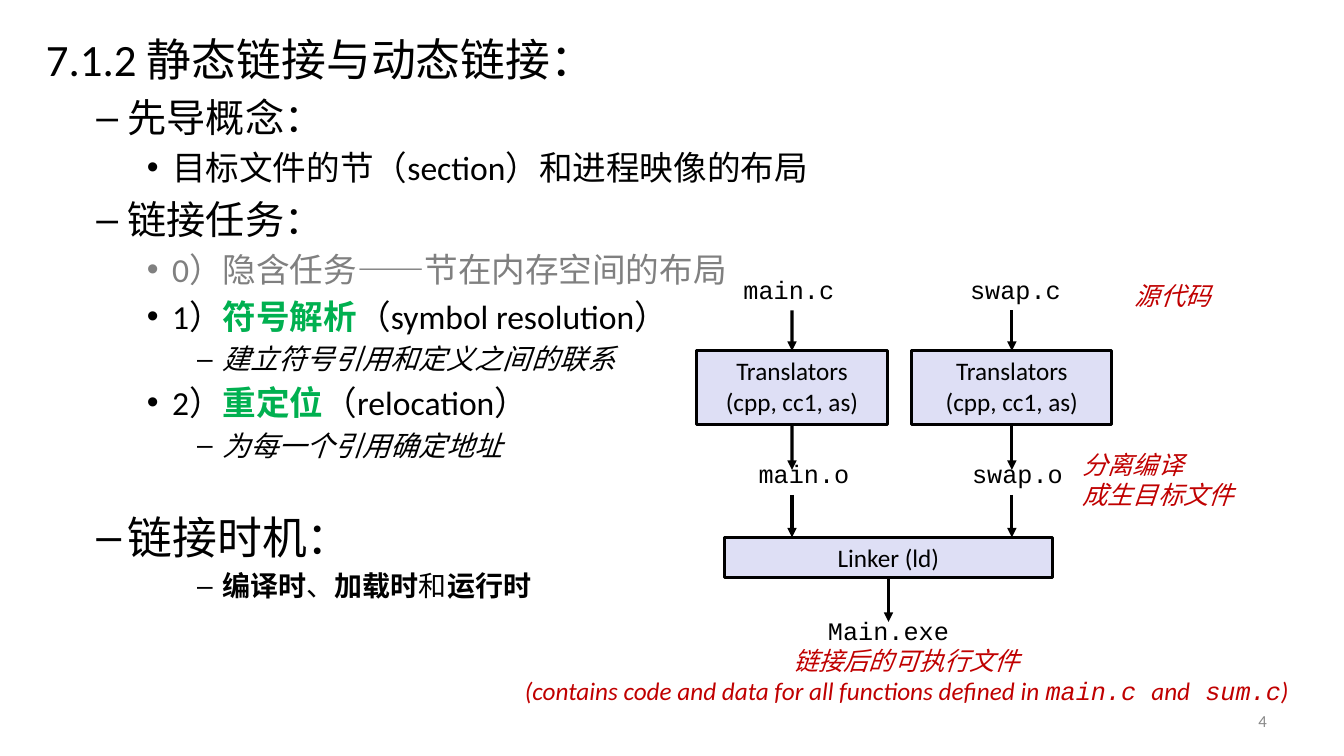
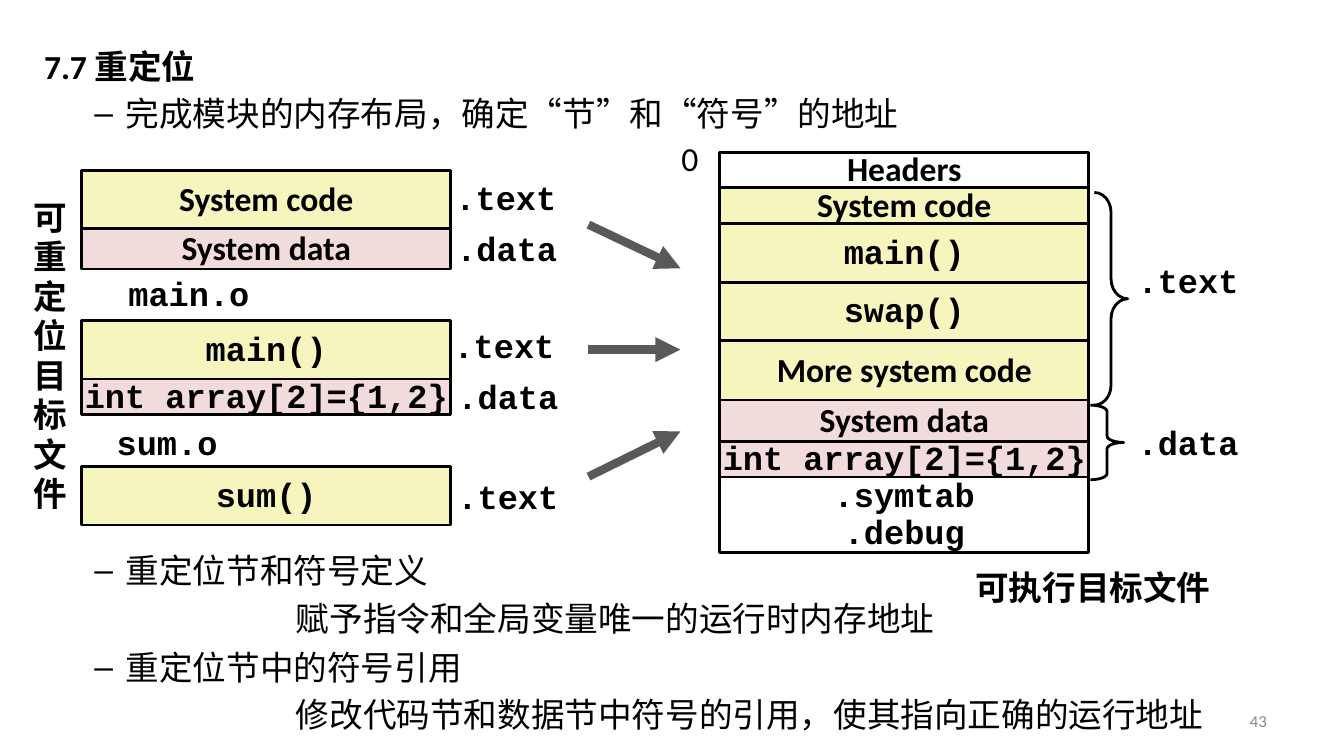
"""Builds two slides on static linking and relocation."""
from lxml.etree import SubElement
from pptx import Presentation
from pptx.dml.color import RGBColor
from pptx.enum.shapes import MSO_CONNECTOR, MSO_SHAPE
from pptx.enum.text import MSO_ANCHOR, PP_ALIGN
from pptx.oxml.ns import qn
from pptx.util import Cm, Pt

BLACK, RED, GREEN, GRAY = "000000", "C00000", "00B050", "808080"
LILAC, YELLOW, PINK, WHITE = "DEDFF5", "F6F5BD", "F2DCDB", "FFFFFF"
SANS, MONO, HAN = "Calibri", "Courier New", "Noto Sans CJK SC"
LEFT, CENTER, RIGHT = PP_ALIGN.LEFT, PP_ALIGN.CENTER, PP_ALIGN.RIGHT
LEVELS = {1: (2.06, -0.79, "–"), 2: (3.18, -0.64, "•"), 3: (4.45, -0.64, "–"), 4: (6.35, 0, None)}


def add_label(page, at, lines, size=18, font=SANS, color=BLACK, bold=False, italic=False, align=LEFT,
              spacing=1.0, wrap=True, anchor=MSO_ANCHOR.TOP, fill=None, line=2):
    """Add a text box, or a filled rectangle; a line is a string or (level, size, gap, spans)."""
    place = [Cm(length) for length in at]
    if fill:
        box = page.shapes.add_shape(MSO_SHAPE.RECTANGLE, *place)
        box.shadow.inherit = False
        box.fill.solid()
        box.fill.fore_color.rgb = RGBColor.from_string(fill)
        box.line.color.rgb = RGBColor.from_string(BLACK)
        box.line.width = Pt(line)
    else:
        box = page.shapes.add_textbox(*place)
    frame = box.text_frame
    frame.word_wrap = wrap
    frame.vertical_anchor = anchor
    for index, entry in enumerate(lines):
        if isinstance(entry, str):
            entry = (0, size, 0, [(entry, {})])
        level, line_size, gap, spans = entry
        para = frame.paragraphs[0] if index == 0 else frame.add_paragraph()
        if level:
            margin, indent, bullet = LEVELS[level]
            para.level = min(level, 3) if bullet else 1
            props = para._p.get_or_add_pPr()
            props.set("marL", str(Cm(margin)))
            props.set("indent", str(Cm(indent)))
            if bullet:
                SubElement(props, qn("a:buFont")).set("typeface", "Arial")
                SubElement(props, qn("a:buChar")).set("char", bullet)
        para.alignment = align
        para.line_spacing = spacing
        para.space_before = Pt(gap if index else 0)
        for text, changes in spans:
            span = para.add_run()
            span.text = text
            span.font.size = Pt(line_size)
            span.font.bold = changes.get("bold", bold)
            span.font.italic = changes.get("italic", italic)
            span.font.color.rgb = RGBColor.from_string(changes.get("color", color))
            span.font.name = changes.get("font", font)
            asian = SubElement(span._r.get_or_add_rPr(), qn("a:ea"))
            asian.set("typeface", changes.get("asian", SANS))
    return box


def add_arrow(page, start, end, color=BLACK, width=2.25):
    """Add a straight arrow between two points."""
    points = [Cm(length) for length in (*start, *end)]
    arrow = page.shapes.add_connector(MSO_CONNECTOR.STRAIGHT, *points)
    arrow.line.color.rgb = RGBColor.from_string(color)
    arrow.line.width = Pt(width)
    props = arrow.element.spPr
    SubElement(props.find(qn("a:ln")), qn("a:tailEnd")).set("type", "triangle")
    SubElement(props, qn("a:effectLst"))
    return arrow


deck = Presentation()
deck.slide_width, deck.slide_height = Cm(33.87), Cm(19.05)
pages = []
for number in ("4", "43"):
    page = deck.slides.add_slide(deck.slide_layouts[6])
    add_label(page, (24.28, 17.65, 7.9, 1.02), [number], size=12, color="898989",
              align=RIGHT, anchor=MSO_ANCHOR.MIDDLE)
    pages.append(page)
linking, relocation = pages

strong = {"bold": True}
term = {"bold": True, "color": GREEN}
slanted = {"italic": True}
add_label(linking, (0.91, 0.67, 30.48, 1.7), [
    (0, 32, 0, [("7.1.2 静态链接与动态链接：", {})]),
    (1, 28, 5.6, [("先导概念：", {})]),
    (2, 24, 4.8, [("目标文件的节（section）和进程映像的布局", {})]),
    (1, 28, 5.6, [("链接任务：", {})]),
    (2, 24, 4.8, [("0）隐含任务——节在内存空间的布局", {"color": GRAY, "asian": HAN})]),
    (2, 24, 4.8, [("1）", {}), ("符号解析", term), ("（symbol resolution）", {})]),
    (3, 20, 4, [("建立符号引用和定义之间的联系", slanted)]),
    (2, 24, 4.8, [("2）", {}), ("重定位", term), ("（relocation）", {})]),
    (3, 20, 4, [("为每一个引用确定地址", slanted)]),
    (1, 32, 34, [("链接时机：", {})]),
    (3, 20, 4, [("编译时", strong), ("、", {}), ("加载时", strong), ("和", {}), ("运行时", strong)]),
])

linker = add_label(linking, (18.26, 13.54, 8.26, 1.02), ["Linker (ld)"], align=CENTER, fill=LILAC, line=2.25)
for left, width in ((17.56, 4.8), (22.98, 5.04)):
    middle = left + width / 2
    translator = add_label(linking, (left, 8.84, width, 1.85), ["Translators", "(cpp, cc1, as)"],
                           align=CENTER, fill=LILAC, line=2.25)
    add_arrow(linking, (middle, 7.82), (middle, 8.84)).end_connect(translator, 0)
    add_arrow(linking, (middle, 10.69), (middle, 11.84)).begin_connect(translator, 2)
    add_arrow(linking, (middle, 12.47), (middle, 13.54))
add_arrow(linking, (22.39, 14.56), (22.39, 15.67)).begin_connect(linker, 2)

for name, left, top, width in (("main.c", 18.47, 6.78, 2.82), ("swap.c", 24.18, 6.78, 2.82),
                               ("main.o", 18.85, 11.43, 2.82), ("swap.o", 24.23, 11.43, 2.82),
                               ("Main.exe", 20.6, 15.39, 3.58)):
    add_label(linking, (left, top, width, 1.02), [name], font=MONO, align=CENTER, wrap=False)

mono = {"font": MONO}
for at, lines, align in (
    ((28.35, 6.93, 2.44, 1.02), ["源代码"], LEFT),
    ((27.03, 11.2, 4.37, 1.8), ["分离编译", "成生目标文件"], LEFT),
    ((12.93, 16.13, 19.84, 1.8), [
        "链接后的可执行文件",
        (0, 18, 0, [("(contains code and data for all functions defined in ", {}), ("main.c ", mono),
                    ("and", {}), (" sum.c", mono), (")", {})]),
    ], CENTER),
):
    add_label(linking, at, lines, color=RED, italic=True, align=align, wrap=False)

add_label(relocation, (0.86, 1.04, 30.48, 17.04), [
    (0, 24, 0, [("7.7 重定位", strong)]),
    (1, 24, 4.8, [("完成模块的内存布局，确定“节”和“符号”的地址", {"asian": HAN})]),
])

array = "int array[2]={1,2}"
stacks = (
    (2.06, 4.29, [(["System code"], 1.47, YELLOW, SANS), (["System data"], 1.02, PINK, SANS)]),
    (2.06, 8.08, [(["main()"], 1.47, YELLOW, MONO), ([array], 0.89, PINK, MONO)]),
    (2.06, 11.76, [(["sum()"], 1.47, YELLOW, MONO)]),
    (18.14, 3.84, [(["Headers"], 0.89, WHITE, SANS), (["System code"], 0.91, YELLOW, SANS),
                   (["main()"], 1.47, YELLOW, MONO), (["swap()"], 1.47, YELLOW, MONO),
                   (["More system code"], 1.5, YELLOW, SANS), (["System data"], 1.05, PINK, SANS),
                   ([array], 0.89, PINK, MONO), ([".symtab", ".debug"], 1.9, WHITE, MONO)]),
)
for left, top, sections in stacks:
    for lines, height, fill, font in sections:
        add_label(relocation, (left, top, 9.3, height), lines, size=24, font=font, bold=True, align=CENTER,
                  spacing=0.98 if font == SANS else 0.94, wrap=False, anchor=MSO_ANCHOR.MIDDLE, fill=fill)
        top += height

for name, left, top, width, align in (
    ("main.o", 2.13, 6.83, 5.26, CENTER), ("sum.o", 1.96, 10.59, 4.5, CENTER),
    (".text", 11.23, 4.42, 4.5, LEFT), (".data", 11.25, 5.69, 4.5, LEFT),
    (".text", 11.18, 8.15, 4.5, LEFT), (".data", 11.28, 9.42, 4.5, LEFT),
    (".text", 11.28, 11.96, 4.5, LEFT), (".text", 28.42, 6.5, 3.5, LEFT),
    (".data", 28.42, 10.59, 3.5, LEFT),
):
    add_label(relocation, (left, top, width, 1.22), [name], size=24, font=MONO, bold=True,
              align=align, spacing=0.94)

for text, at, bold in (("可重定位目标文件", (0.6, 4.88, 1.57, 8.31), True),
                       ("0", (16.92, 3.4, 1.3, 1.27), False),
                       ("可执行目标文件", (24.33, 14.22, 6.53, 1.27), True)):
    add_label(relocation, at, [text], size=24, bold=bold, spacing=0.98)

for left, top, height, curve in ((27.58, 4.85, 5.36, 0.6), (27.48, 10.21, 1.88, 0.19)):
    brace = relocation.shapes.add_shape(MSO_SHAPE.RIGHT_BRACE, Cm(left), Cm(top), Cm(0.84), Cm(height))
    brace.adjustments[0] = curve
    brace.shadow.inherit = False
    brace.fill.background()
    brace.line.color.rgb = RGBColor.from_string(BLACK)
    brace.line.width = Pt(2)

for start, end in ((8.81, 8.81), (5.66, 6.76), (12.01, 10.87)):
    add_arrow(relocation, (14.83, start), (17.15, end), color="595959", width=6)

han = {"font": HAN}
add_label(relocation, (0.86, 13.69, 31.27, 5.08), [
    (1, 24, 0, [("重定位节和符号定义", {})]),
    (4, 24, 3.6, [("赋予指令和全局变量唯一的运行时内存地址", han)]),
    (1, 24, 4.8, [("重定位节中的符号引用", {})]),
    (4, 24, 3.6, [("修改代码节和数据节中符号的引用，使其指向正确的运行地址", han)]),
], spacing=1.05)

deck.save("out.pptx")
